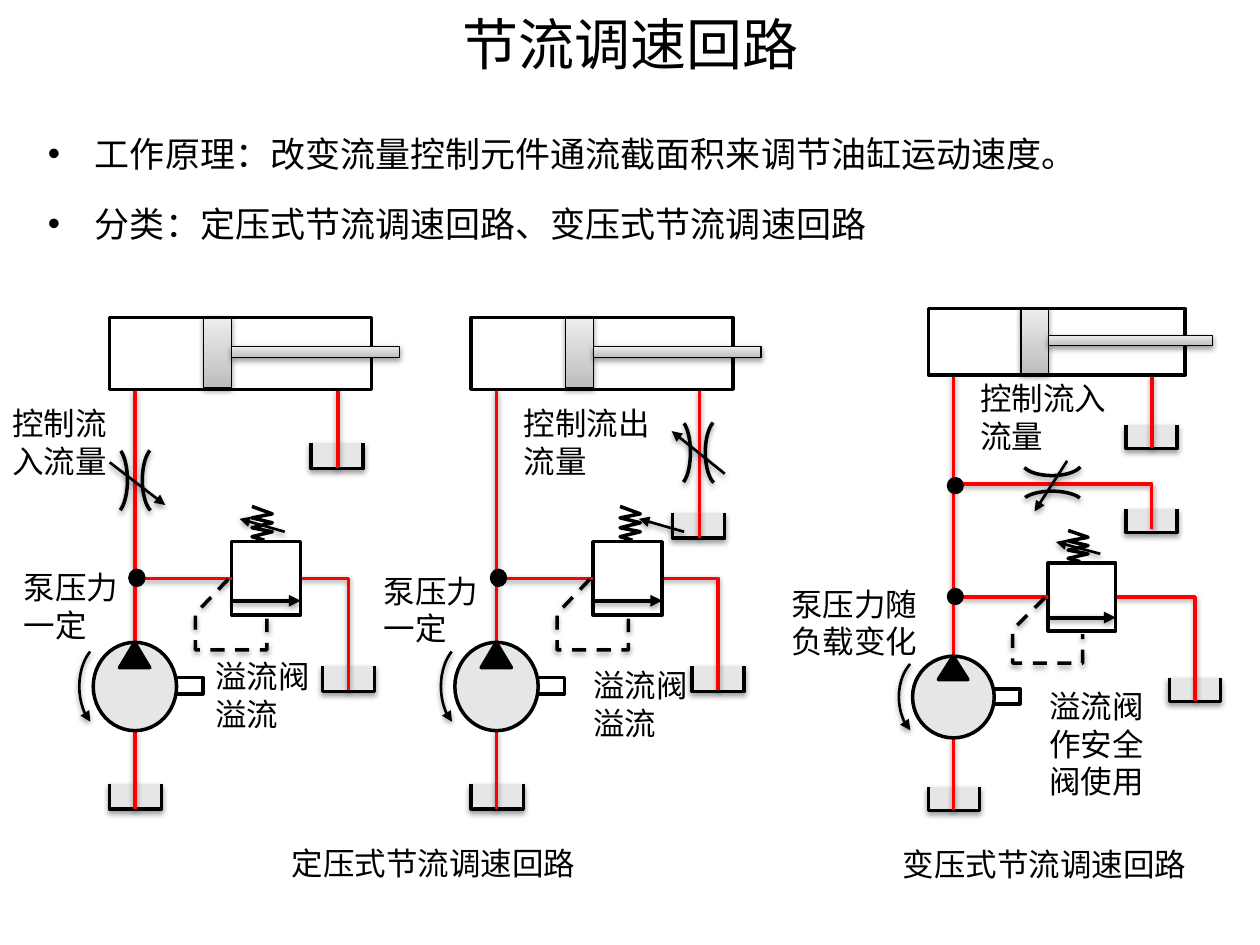
from lxml import etree
from pptx import Presentation
from pptx.dml.color import RGBColor
from pptx.enum.dml import MSO_LINE
from pptx.enum.shapes import MSO_CONNECTOR, MSO_SHAPE
from pptx.enum.text import MSO_ANCHOR, MSO_AUTO_SIZE, PP_ALIGN
from pptx.oxml.ns import qn
from pptx.util import Cm, Pt

RECT, OVAL, ARC = MSO_SHAPE.RECTANGLE, MSO_SHAPE.OVAL, MSO_SHAPE.ARC
CONE = MSO_SHAPE.ISOSCELES_TRIANGLE
STRAIGHT, DASH = MSO_CONNECTOR.STRAIGHT, MSO_LINE.DASH
LINE, PATH = "line", "path"
CENTER, MIDDLE, FIXED = PP_ALIGN.CENTER, MSO_ANCHOR.MIDDLE, MSO_AUTO_SIZE.NONE


class Theme:
    font = "Noto Sans CJK SC"
    ink, oil = RGBColor(0, 0, 0), RGBColor(255, 0, 0)
    white, gray = RGBColor(255, 255, 255), RGBColor(0xE6, 0xE6, 0xE6)
    metal = RGBColor(0xBD, 0xBD, 0xBD), RGBColor(0xEE, 0xEE, 0xEE)
    title, body, label = Pt(32), Pt(20), Pt(18)
    thin, arrow, pipe, bold = Pt(0.75), Pt(1.5), Pt(2), Pt(2.25)


deck = Presentation()
deck.slide_width, deck.slide_height = Cm(25.4), Cm(19.05)
slide = deck.slides.add_slide(deck.slide_layouts[1])
shapes = slide.shapes


def write(para, text, size):
    run = para.add_run()
    run.text = text
    font = run.font
    font.name, font.size, font.color.rgb = Theme.font, size, Theme.ink
    east = etree.SubElement(run._r.get_or_add_rPr(), qn("a:ea"))
    east.set("typeface", Theme.font)


def draw(zone, kind, pts, fill=None, color=Theme.ink, width=Theme.pipe,
         shade=True, end=None, arc=None, dash=None):
    """Draw through local points; zone is (left, top, x scale, y scale)."""
    left, top, kx, ky = zone
    pts = [(Cm(left + x * kx), Cm(top + y * ky)) for x, y in pts]
    (x1, y1), (x2, y2) = pts[0], pts[-1]
    if kind == LINE:
        shape = shapes.add_connector(STRAIGHT, x1, y1, x2, y2)
    elif kind == PATH:
        maker = shapes.build_freeform(x1, y1)
        maker.add_line_segments(pts[1:], close=False)
        shape = maker.convert_to_shape()
    else:
        shape = shapes.add_shape(kind, x1, y1, x2 - x1, y2 - y1)
    if arc:
        for i, angle in enumerate(arc):
            shape.adjustments[i] = angle * 0.6
    if fill == Theme.metal:
        shape.fill.gradient()
        shape.fill.gradient_angle = 90
        for stop, tone in zip(shape.fill.gradient_stops, fill):
            stop.color.rgb = tone
    elif fill is not None:
        shape.fill.solid()
        shape.fill.fore_color.rgb = fill
    elif kind != LINE:
        shape.fill.background()
    shape.line.color.rgb, shape.line.width = color, width
    if dash:
        shape.line.dash_style = dash
    props = shape._element.spPr
    if end:
        etree.SubElement(props.find(qn("a:ln")), qn(end)).set("type", "triangle")
    fx = etree.SubElement(props, qn("a:effectLst"))
    if shade:
        glow = etree.SubElement(fx, qn("a:outerShdw"), blurRad="40000",
                                dist="20000", dir="5400000", rotWithShape="0")
        tone = etree.SubElement(glow, qn("a:srgbClr"), val="000000")
        etree.SubElement(tone, qn("a:alpha"), val="38000")
    return shape


# Title
title = shapes.title
title.left, title.top, title.width, title.height = Cm(3.71), Cm(0), Cm(18), Cm(1.73)
title.text_frame.auto_size = FIXED
title.text_frame.vertical_anchor = MIDDLE
para = title.text_frame.paragraphs[0]
para.alignment = CENTER
write(para, "节流调速回路", Theme.title)

# Bullet list
body = slide.placeholders[1]
body.left, body.top, body.width, body.height = Cm(0.71), Cm(2.13), Cm(24), Cm(3.28)
frame = body.text_frame
frame.auto_size = FIXED
points = ["工作原理：改变流量控制元件通流截面积来调节油缸运动速度。",
          "分类：定压式节流调速回路、变压式节流调速回路"]
for i, text in enumerate(points):
    para = frame.add_paragraph() if i else frame.paragraphs[0]
    para.line_spacing, para.space_before = 1.5, Pt(4 if i else 0)
    props = para._p.get_or_add_pPr()
    props.set("marL", str(Cm(0.95)))
    props.set("indent", str(-Cm(0.95)))
    etree.SubElement(props, qn("a:buFont"), typeface="Arial")
    etree.SubElement(props, qn("a:buChar"), char="•")
    write(para, text, Theme.body)

# Circuits: left, cylinder top, valve top, x scale, y scale, cylinder base
# above valve, return tank, relief tank, spring shift, adjuster shift
circuits = [
    (2.21, 6.4, 10.92, 1, 1, -3.07, 2.54, 4.29, 0, 0),
    (9.5, 6.4, 10.92, 1, 1, -3.07, 3.94, 4.45, 0.13, 0.76),
    (18.72, 6.22, 11.35, 0.98, 0.925, -4.12, 2.54, 4.95, 0, 0),
]
# Throttles: two arcs (corners, angles) and the arrow across them
upright = (280.72, 80.62), (99.38, 259.28)
flat = (190.72, 350.62), (9.38, 169.28)
throttles = [
    ([(-0.13, 2.62), (0.36, 3.94)], [(0.66, 2.62), (1.19, 3.94)],
     upright, [(0, 2.92), (1.12, 3.78)]),
    ([(3.94, 2.06), (4.42, 3.38)], [(4.72, 2.06), (5.26, 3.38)],
     upright, [(5.11, 3.15), (4.04, 2.29)]),
    ([(1.92, 3.98), (3.16, 4.48)], [(1.92, 3.06), (3.16, 3.64)],
     flat, [(2.85, 3.32), (2.18, 4.42)]),
]
coil = [(3.12, -0.03)] + [
    (2.87 if i % 2 == 0 else 3.28, y)
    for i, y in enumerate([-0.1, -0.2, -0.28, -0.38, -0.48, -0.56, -0.71])]

for circuit, throttle in zip(circuits, throttles):
    left, high, low, kx, ky, base, back, sump, slip, nudge = circuit
    bypass = throttle[2] == flat
    top, foot = (left, high, kx, ky), (left, low, kx, ky)

    # Tanks
    tanks = [(top, 4.06, back), (foot, sump, 2.51), (foot, 0, 4.88)]
    if bypass:
        tanks.append((top, 4.06, 4.37))
    for zone, x, y in tanks:
        draw(zone, PATH, [(x, y), (x, y + 0.51), (x + 1.05, y + 0.51), (x + 1.05, y)],
             Theme.gray)

    # Oil lines
    draw(foot, PATH, [(3.85, 0.74), (sump + 0.53, 0.74), (sump + 0.53, 3)],
         color=Theme.oil)
    for zone, x, y1, y2 in [(foot, 0.51, 2.03, base), (foot, 0.51, 5.39, 3.81),
                            (top, 4.6, back + 0.5, 1.45)]:
        draw(zone, LINE, [(x, y1), (x, y2)], color=Theme.oil)
    dots = [(foot, 0.58)]
    if bypass:
        draw(top, PATH, [(0.5, 3.82), (4.59, 3.82), (4.59, 4.81)], color=Theme.oil)
        dots.append((top, 3.71))

    # Pump
    draw(foot, RECT, [(1.19, 2.74), (1.88, 3.07)], Theme.white, shade=False)
    draw(foot, OVAL, [(-0.33, 2.03), (1.35, 3.81)], Theme.gray, shade=False)
    draw(foot, CONE, [(0.2, 2.03), (0.81, 2.54)], Theme.ink, shade=False)
    draw(foot, ARC, [(-0.61, 2.03), (0.51, 3.81)], width=Theme.arrow,
         end="a:headEnd", arc=(115.4, 244.14))

    # Relief valve
    valve = draw(foot, RECT, [(2.46, 0), (3.85, 1.48)], Theme.white, shade=False)
    feed = draw(foot, LINE, [(2.46, 0.74), (0.66, 0.74)], color=Theme.oil)
    feed.begin_connect(valve, 1)
    for zone, y in dots:
        draw(zone, OVAL, [(0.41, y), (0.69, y + 0.3)], Theme.ink, shade=False)
    draw(foot, LINE, [(2.46, 1.19), (3.85, 1.19)], width=Theme.bold, end="a:tailEnd")
    draw(foot, PATH, [(2.39, 0.76), (1.73, 1.45), (1.73, 2.18), (3.17, 2.18),
                      (3.17, 1.55)], dash=DASH)
    draw(foot, PATH, [(x + slip, y) for x, y in coil], shade=False)
    draw(foot, LINE, [(3.53 + nudge, -0.2), (2.62 + nudge, -0.46)],
         width=Theme.arrow, end="a:tailEnd")

    # Throttle
    for corners, arc in zip(throttle[:2], throttle[2]):
        draw(top, ARC, corners, arc=arc)
    draw(top, LINE, throttle[3], width=Theme.arrow, end="a:tailEnd")

    # Cylinder
    draw(top, RECT, [(1.9, -0.02), (2.46, 1.41)], Theme.metal, width=Theme.thin)
    draw(top, RECT, [(0, 0), (5.28, 1.45)], shade=False)
    draw(top, RECT, [(2.46, 0.58), (5.84, 0.81)], Theme.metal, width=Theme.thin)

# Labels and captions
labels = [
    ("控制流入流量", 0, 8.03, 2.95, 1.8, None),
    ("泵压力一定", 0.23, 11.33, 2.46, 1.8, None),
    ("溢流阀溢流", 4.09, 13.13, 2.57, 1.8, None),
    ("控制流出流量", 10.31, 8.03, 3.3, 1.8, None),
    ("泵压力一定", 7.49, 11.4, 2.59, 1.8, None),
    ("溢流阀溢流", 11.71, 13.31, 2.46, 1.8, None),
    ("控制流入流量", 19.51, 7.52, 3.28, 1.8, None),
    ("泵压力随负载变化", 15.7, 11.66, 3.53, 1.8, None),
    ("溢流阀作安全阀使用", 20.9, 13.72, 2.79, 2.57, None),
    ("定压式节流调速回路", 3.78, 16.89, 9.91, 1.47, CENTER),
    ("变压式节流调速回路", 16.26, 16.92, 9.6, 1.37, CENTER),
]
for text, x, y, w, h, align in labels:
    frame = shapes.add_textbox(Cm(x), Cm(y), Cm(w), Cm(h)).text_frame
    frame.word_wrap = True
    para = frame.paragraphs[0]
    para.alignment = align
    write(para, text, Theme.label)

deck.save("out.pptx")
